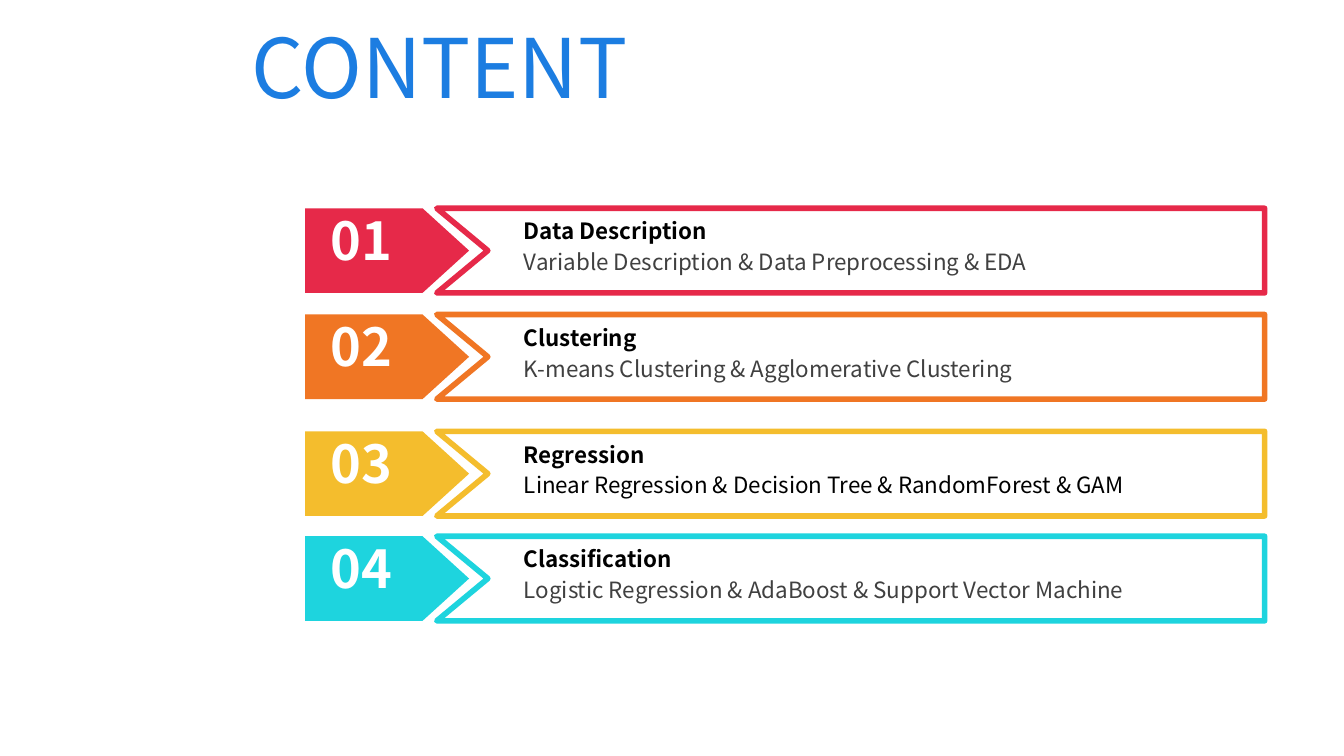
from pptx import Presentation
from pptx.dml.color import RGBColor
from pptx.enum import shapes, text
from pptx.util import Inches, Pt

FONT = "Noto Sans CJK KR"
BLUE = RGBColor(0x1C, 0x7D, 0xE1)
RED = RGBColor(0xE6, 0x29, 0x49)
ORANGE = RGBColor(0xF0, 0x76, 0x24)
YELLOW = RGBColor(0xF4, 0xBD, 0x2D)
CYAN = RGBColor(0x1E, 0xD4, 0xDE)
WHITE = RGBColor(0xFF, 0xFF, 0xFF)
BLACK = RGBColor(0, 0, 0)
GRAY = RGBColor(0x40, 0x40, 0x40)

ROW_HEIGHT = 0.63
SECTIONS = [
    (1.55, RED, "Data Description",
     "Variable Description & Data Preprocessing & EDA", GRAY),
    (2.34, ORANGE, "Clustering",
     "K-means Clustering & Agglomerative Clustering", GRAY),
    (3.21, YELLOW, "Regression",
     "Linear Regression & Decision Tree & RandomForest & GAM", BLACK),
    (3.99, CYAN, "Classification",
     "Logistic Regression & AdaBoost & Support Vector Machine", GRAY),
]


def write(frame, words, size, color, bold=False):
    frame.text = words
    font = frame.paragraphs[0].runs[0].font
    font.name, font.size, font.bold = FONT, Pt(size), bold
    font.color.rgb = color


def add_text(parent, left, top, width, height, words, size, color, bold=False):
    box = parent.add_textbox(Inches(left), Inches(top), Inches(width), Inches(height))
    frame = box.text_frame
    frame.word_wrap = True
    frame.auto_size = text.MSO_AUTO_SIZE.SHAPE_TO_FIT_TEXT
    write(frame, words, size, color, bold)
    return frame


# Widescreen 16:9 slide
prs = Presentation()
prs.slide_width, prs.slide_height = Inches(10), Inches(10 * 9 / 16)
slide = prs.slides.add_slide(prs.slide_layouts[5])

# Title
title = slide.shapes.title
title.left, title.top = Inches(1.77), Inches(0)
title.width, title.height = Inches(8.23), Inches(0.97)
title.text_frame.vertical_anchor = text.MSO_ANCHOR.MIDDLE
write(title.text_frame, "CONTENT", 44, BLUE)
title.text_frame.paragraphs[0].alignment = text.PP_ALIGN.LEFT

for number, (top, color, heading, topics, topics_color) in enumerate(SECTIONS, 1):
    # Number arrow
    arrow = slide.shapes.add_shape(
        shapes.MSO_SHAPE.PENTAGON, Inches(2.27), Inches(top), Inches(1.22), Inches(ROW_HEIGHT))
    arrow.adjustments[0] = 0.55
    arrow.shadow.inherit = False
    arrow.fill.solid()
    arrow.fill.fore_color.rgb = color
    arrow.line.fill.background()

    # Notched frame
    bottom = top + ROW_HEIGHT
    corners = [(9.41, top), (9.41, bottom), (3.25, bottom), (3.63, top + ROW_HEIGHT / 2)]
    builder = slide.shapes.build_freeform(Inches(3.25), Inches(top))
    builder.add_line_segments([(Inches(x), Inches(y)) for x, y in corners], close=True)
    banner = builder.convert_to_shape()
    banner.shadow.inherit = False
    banner.fill.solid()
    banner.fill.fore_color.rgb = WHITE
    banner.line.color.rgb = color
    banner.line.width = Pt(3)

    # Number
    label = add_text(slide.shapes, 2.36, top, 0.75, 0.47, f"{number:02}", 28, WHITE, True)
    label.vertical_anchor = text.MSO_ANCHOR.MIDDLE
    label.margin_top = label.margin_bottom = 0

    # Heading and topics
    entry = slide.shapes.add_group_shape().shapes
    add_text(entry, 3.8, top + 0.02, 5.3, 0.3, heading, 12, BLACK, True)
    add_text(entry, 3.8, top + 0.25, 5.3, 0.3, topics, 12, topics_color)

prs.save("out.pptx")
